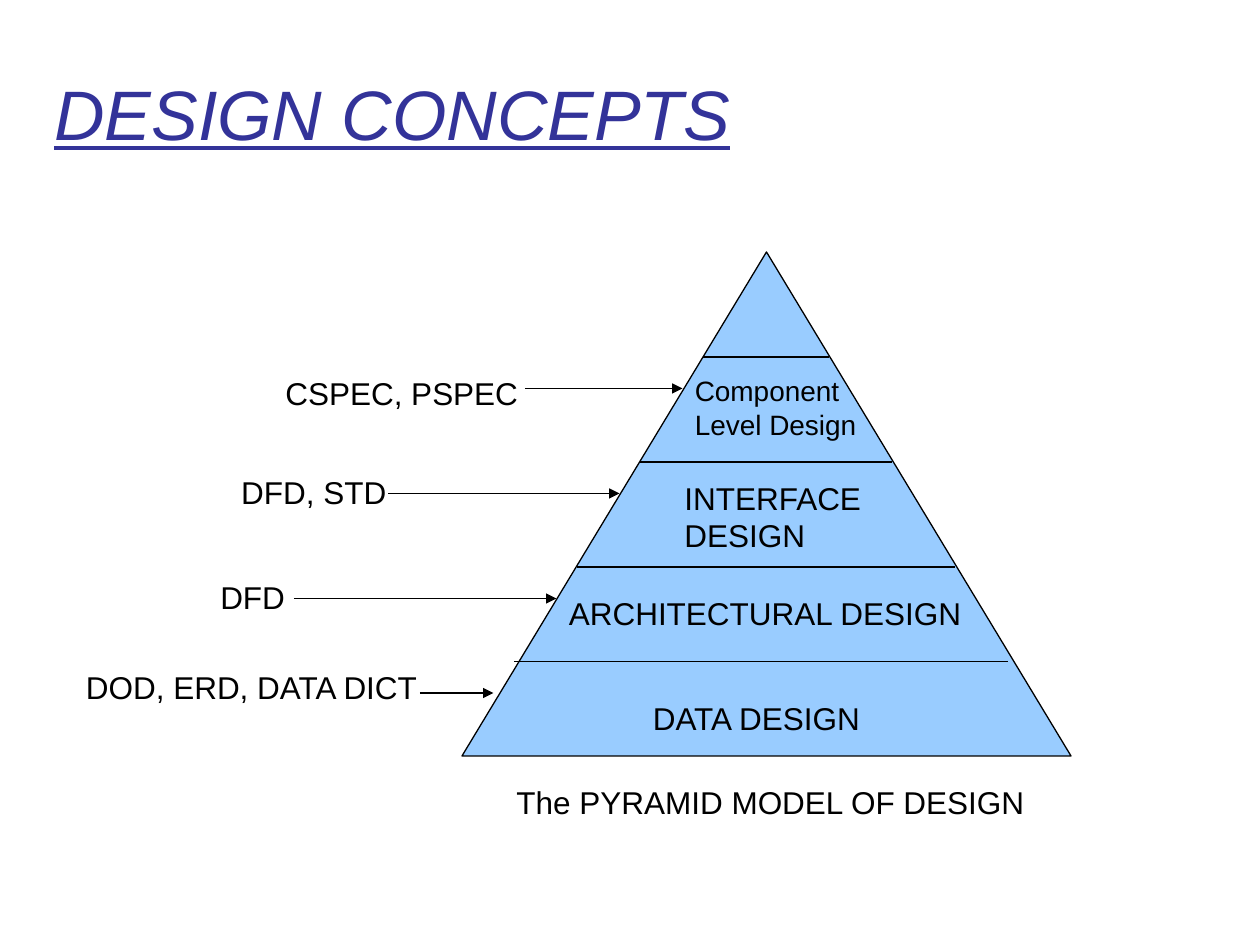
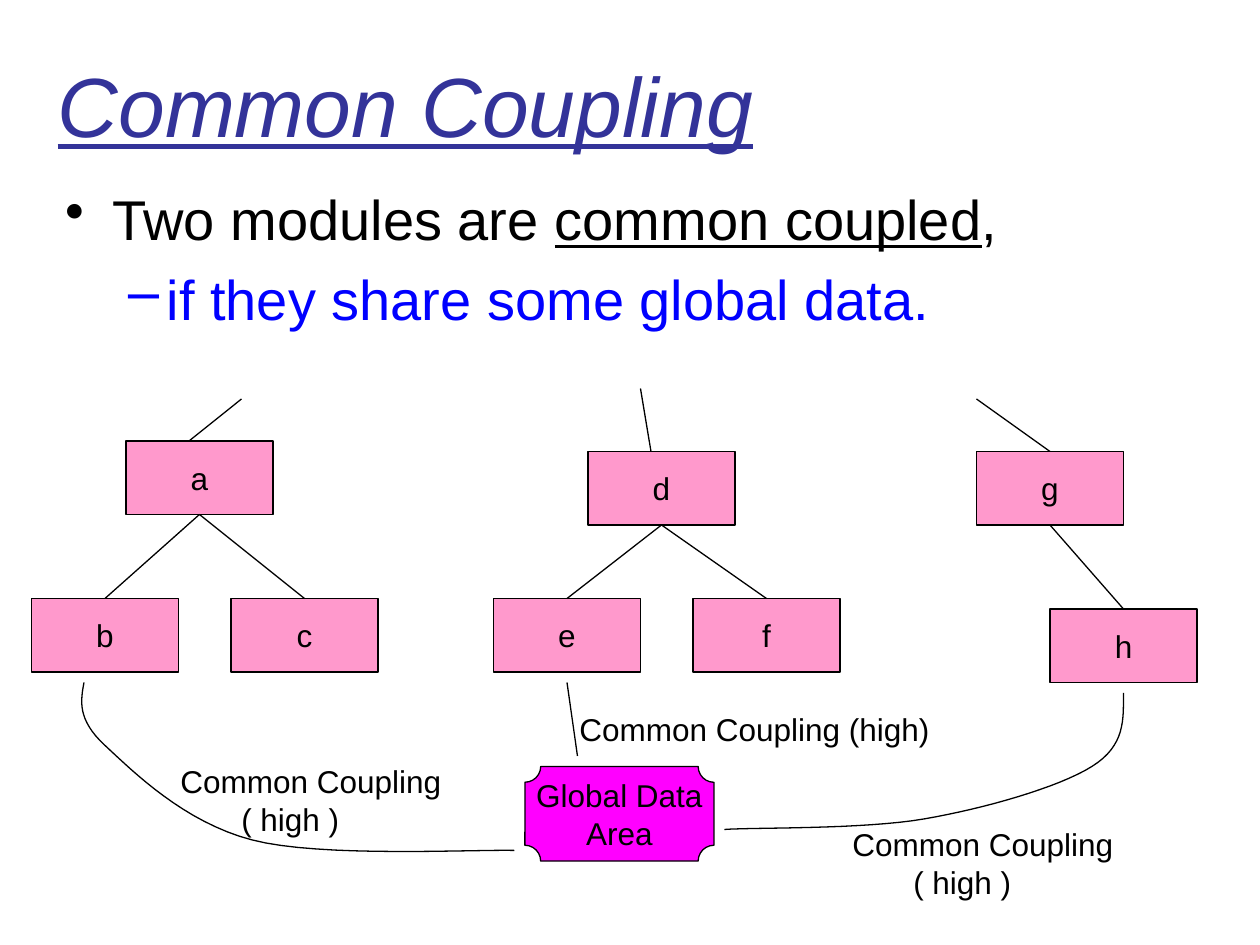
from lxml import etree
from pptx import Presentation
from pptx import util as u
from pptx.dml.color import RGBColor
from pptx.enum import shapes, text
from pptx.oxml import ns

PX = 7620  # 120 px to the inch
INK = RGBColor(0x00, 0x00, 0x00)
NAVY = RGBColor(0x33, 0x33, 0x99)
BLUE = RGBColor(0x00, 0x00, 0xFF)
SKY = RGBColor(0x99, 0xCC, 0xFF)
PINK = RGBColor(0xFF, 0x99, 0xCC)
FUCHSIA = RGBColor(0xFF, 0x00, 0xFF)
TITLE = {"italic": True, "underline": True}
KIND = shapes.MSO_SHAPE
LEFT, MID = text.PP_ALIGN.LEFT, text.PP_ALIGN.CENTER


def write(shape, lines, size=18, color=INK, align=LEFT, side=12, wrap=True, **form):
    """Fill a shape with one paragraph per line of (text, extra format) runs."""
    frame = shape.text_frame
    frame.word_wrap = wrap
    frame.margin_left = frame.margin_right = side * PX
    frame.margin_top = frame.margin_bottom = 6 * PX
    for i, runs in enumerate(lines):
        para = frame.paragraphs[0] if i == 0 else frame.add_paragraph()
        para.alignment = align
        for words, extra in [(runs, {})] if isinstance(runs, str) else runs:
            run = para.add_run()
            run.text = words
            look = {"name": "Arial", "size": u.Pt(size), **form, **extra}
            run.font.color.rgb = look.pop("color", color)
            for key, value in look.items():
                setattr(run.font, key, value)
    return frame


def draw(slide, x1, y1, x2, y2, arrow=False):
    """Draw a thin black line, with an arrowhead at its end if asked."""
    line = slide.shapes.add_connector(
        shapes.MSO_CONNECTOR.STRAIGHT, x1 * PX, y1 * PX, x2 * PX, y2 * PX)
    line.line.color.rgb = INK
    line.line.width = u.Pt(0.75)
    if arrow:
        etree.SubElement(line.line._get_or_add_ln(), ns.qn("a:tailEnd"), type="triangle")
    etree.SubElement(line._element.spPr, ns.qn("a:effectLst"))


deck = Presentation()
deck.slide_width, deck.slide_height = 1200 * PX, 900 * PX
pyramid, coupling = [deck.slides.add_slide(deck.slide_layouts[6]) for _ in range(2)]

# Titles
for slide, words, size, side, spot in [
    (pyramid, "DESIGN CONCEPTS", 40, 12, (40, 60, 680, 94)),
    (coupling, "Common Coupling", 48, 2, (53, 24, 1020, 150)),
]:
    box = slide.shapes.add_textbox(*[n * PX for n in spot])
    frame = write(box, [words], size, NAVY, side=side, **TITLE)
    frame.vertical_anchor = text.MSO_ANCHOR.MIDDLE

# Pyramid and its levels
cone = pyramid.shapes.add_shape(
    KIND.ISOSCELES_TRIANGLE, 440 * PX, 240 * PX, 580 * PX, 480 * PX)
cone.shadow.inherit = False
cone.fill.solid()
cone.fill.fore_color.rgb = SKY
cone.line.color.rgb = INK
cone.line.width = u.Pt(0.75)
for x1, x2, y in [(490, 960, 630), (550, 910, 540), (610, 850, 440), (670, 790, 340)]:
    draw(pyramid, x1, y, x2, y)

# Level names, inputs and caption
for x, y, wide, size, lines in [
    (610, 660, 240, 18, ["DATA DESIGN"]),
    (530, 560, 410, 18, ["ARCHITECTURAL DESIGN"]),
    (640, 450, 210, 18, ["INTERFACE", "DESIGN"]),
    (650, 350, 190, 16, ["Component", "Level Design"]),
    (480, 740, 525, 18, ["The PYRAMID MODEL OF DESIGN"]),
    (70, 630, 355, 18, ["DOD, ERD, DATA DICT"]),
    (198, 545, 122, 18, ["DFD"]),
    (218, 445, 175, 18, ["DFD, STD"]),
    (260, 350, 255, 18, ["CSPEC, PSPEC"]),
]:
    tall = 12 + 36 * len(lines)
    box = pyramid.shapes.add_textbox(x * PX, y * PX, wide * PX, tall * PX)
    write(box, lines, size)

# Arrows from the inputs to the levels
for x1, x2, y in [(400, 470, 660), (280, 530, 570), (370, 590, 470), (500, 650, 370)]:
    draw(pyramid, x1, y, x2, y, arrow=True)

# Bullets
body = coupling.shapes.add_textbox(60 * PX, 170 * PX, 1080 * PX, 270 * PX)
frame = write(body, [
    [("Two modules are ", {}), ("common coupled", {"underline": True}), (",", {})],
    [("if they share some global data.", {"color": BLUE})],
], 32, side=2)
frame.paragraphs[1].space_before = u.Pt(7)
for para, sign, tint, edge, hang in zip(
        frame.paragraphs, "•–", (INK, BLUE), (45, 97), (45, 37)):
    props = para._p.get_or_add_pPr()
    props.set("marL", str(edge * PX))
    props.set("indent", str(-hang * PX))
    shade = etree.SubElement(props, ns.qn("a:buClr"))
    etree.SubElement(shade, ns.qn("a:srgbClr"), val=str(tint))
    etree.SubElement(props, ns.qn("a:buChar"), char=sign)

# Modules and the shared data area
nodes = [(name, x, y, 140, 70, KIND.RECTANGLE, PINK) for name, x, y in [
    ("a", 120, 420), ("b", 30, 570), ("c", 220, 570), ("d", 560, 430),
    ("e", 470, 570), ("f", 660, 570), ("g", 930, 430), ("h", 1000, 580)]]
nodes.append(("Global Data\nArea", 500, 730, 180, 90, KIND.PLAQUE, FUCHSIA))
for name, x, y, wide, tall, kind, tint in nodes:
    node = coupling.shapes.add_shape(kind, x * PX, y * PX, wide * PX, tall * PX)
    node.shadow.inherit = False
    node.fill.solid()
    node.fill.fore_color.rgb = tint
    node.line.color.rgb = INK
    node.line.width = u.Pt(0.75)
    frame = write(node, name.split("\n"), align=MID, wrap=False)
    frame.vertical_anchor = text.MSO_ANCHOR.MIDDLE

# Calls between modules
for ends in [
    (190, 490, 100, 570), (190, 490, 290, 570), (630, 500, 540, 570),
    (630, 500, 730, 570), (1000, 500, 1070, 580), (180, 420, 230, 380),
    (620, 430, 610, 370), (1000, 430, 930, 380), (540, 650, 550, 720),
]:
    draw(coupling, *ends)

# Curved links to the data area: a start, then cubic Bezier pieces
for knots in [
    [(1070, 660), (1070, 685), (1072, 710), (1040, 730), (1008, 750), (938, 770),
     (880, 780), (822, 790), (720, 788), (690, 790)],
    [(80, 650), (77, 667), (73, 685), (100, 710), (127, 735), (175, 783),
     (240, 800), (305, 817), (449, 809), (490, 810)],
]:
    trail = []
    for k in range(0, len(knots) - 1, 3):
        for step in range(1, 17):
            t = step / 16
            share = ((1 - t) ** 3, 3 * t * (1 - t) ** 2, 3 * t * t * (1 - t), t ** 3)
            trail.append([round(PX * sum(s * p[axis] for s, p in zip(share, knots[k:k + 4])))
                          for axis in (0, 1)])
    pen = coupling.shapes.build_freeform(knots[0][0] * PX, knots[0][1] * PX)
    pen.add_line_segments(trail, close=False)
    curve = pen.convert_to_shape()
    curve.shadow.inherit = False
    curve.fill.background()
    curve.line.color.rgb = INK
    curve.line.width = u.Pt(0.75)

# Link labels
for x, y, wide, lines in [
    (800, 780, 290, ["Common Coupling", "( high )"]),
    (160, 720, 290, ["Common Coupling", "( high )"]),
    (540, 670, 370, ["Common Coupling (high)"]),
]:
    box = coupling.shapes.add_textbox(x * PX, y * PX, wide * PX, (12 + 36 * len(lines)) * PX)
    frame = write(box, lines)
    for para in frame.paragraphs[1:]:
        para._p.get_or_add_pPr().set("marL", str(58 * PX))

deck.save("out.pptx")
